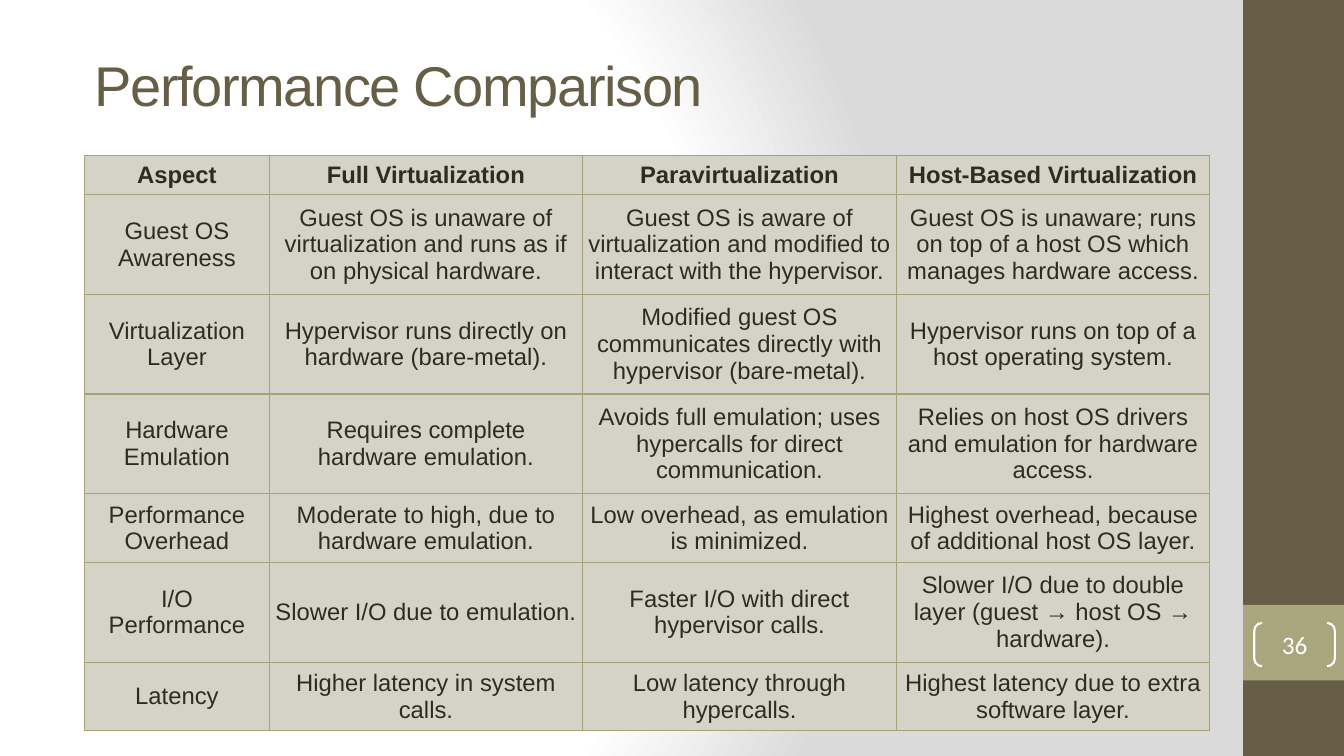
from lxml import etree
from pptx import Presentation, util as u
from pptx.dml.color import RGBColor
from pptx.enum import shapes, text
from pptx.oxml import parse_xml
from pptx.oxml.ns import nsdecls, qn

WIDTH, HEIGHT = 13.33, 7.5
COLORS = {"brown": "675E47", "olive": "A9A57C", "border": "A6A278", "cell": "D5D2C6",
          "ink": "2F2B20", "white": "FFFFFF", "gray": "DADADA"}
COLUMNS = [1.83, 3.11, 3.11, 3.11]
LINE_HEIGHTS = {"header": 0.39, "two": 0.68, "three": 0.99}
ROWS = [
    ("header", "Aspect", "Full Virtualization", "Paravirtualization", "Host-Based Virtualization"),
    ("three", "Guest OS Awareness",
     "Guest OS is unaware of virtualization and runs as if on physical hardware.",
     "Guest OS is aware of virtualization and modified to interact with the hypervisor.",
     "Guest OS is unaware; runs on top of a host OS which manages hardware access."),
    ("three", "Virtualization Layer", "Hypervisor runs directly on hardware (bare-metal).",
     "Modified guest OS communicates directly with hypervisor (bare-metal).",
     "Hypervisor runs on top of a host operating system."),
    ("three", "Hardware Emulation", "Requires complete hardware emulation.",
     "Avoids full emulation; uses hypercalls for direct communication.",
     "Relies on host OS drivers and emulation for hardware access."),
    ("two", "Performance Overhead", "Moderate to high, due to hardware emulation.",
     "Low overhead, as emulation is minimized.",
     "Highest overhead, because of additional host OS layer."),
    ("three", "I/O Performance", "Slower I/O due to emulation.",
     "Faster I/O with direct hypervisor calls.",
     "Slower I/O due to double layer (guest → host OS → hardware)."),
    ("two", "Latency", "Higher latency in system calls.", "Low latency through hypercalls.",
     "Highest latency due to extra software layer."),
]


def color(name):
    """Return the named palette colour."""
    return RGBColor.from_string(COLORS[name])


def inches(*lengths):
    """Convert lengths to slide units."""
    return [u.Inches(length) for length in lengths]


def write(frame, words, size, ink, font="Arial", bold=False, align="CENTER", spacing=None):
    """Put one formatted paragraph into a text frame."""
    frame.word_wrap = True
    para = frame.paragraphs[0]
    para.alignment = text.PP_ALIGN[align]
    span = para.add_run()
    span.text = words
    span.font.name, span.font.size, span.font.bold = font, u.Pt(size), bold
    span.font.color.rgb = color(ink)
    if spacing is not None:
        span.font._element.set("spc", str(spacing))


def add_background(page):
    """Fill the page with a radial gradient from white to gray."""
    page.background.fill.gradient()
    gradient = page.element.find(".//" + qn("a:gradFill"))
    stops = "".join(f'<a:gs pos="{share * 1000}"><a:srgbClr val="{COLORS[name]}"/></a:gs>'
                    for share, name in ((0, "white"), (75, "white"), (100, "gray")))
    gradient.getparent().replace(gradient, parse_xml(
        f'<a:gradFill rotWithShape="1" {nsdecls("a")}><a:gsLst>{stops}</a:gsLst>'
        '<a:path path="circle"><a:fillToRect l="20000" t="50000" r="100000" b="50000"/>'
        '</a:path></a:gradFill>'))


def add_block(page, box, fill):
    """Add a plain filled rectangle."""
    block = page.shapes.add_shape(shapes.MSO_SHAPE.RECTANGLE, *inches(*box))
    block.shadow.inherit = False
    block.fill.solid()
    block.fill.fore_color.rgb = color(fill)
    block.line.fill.background()


def add_sidebar(page, box, number):
    """Draw the side band with its bracketed page number."""
    left, top, width, height = box
    tab_top, tab_height = top + 0.8 * height, 0.1 * height
    add_block(page, box, "brown")
    add_block(page, (left, tab_top, width, tab_height), "olive")
    bracket = page.shapes.add_shape(
        shapes.MSO_SHAPE.DOUBLE_BRACKET,
        *inches(left + 0.11 * width, tab_top + 0.18, 0.8 * width, 0.43))
    bracket.adjustments[0] = 0.18
    bracket.shadow.inherit = False
    bracket.fill.background()
    bracket.line.color.rgb, bracket.line.width = color("white"), u.Pt(1.5)
    frame = bracket.text_frame
    frame.margin_left = frame.margin_right = frame.margin_top = frame.margin_bottom = 0
    frame.vertical_anchor = text.MSO_ANCHOR.MIDDLE
    write(frame, number, 18, "white", font="Calibri")


def add_title(page, box, words):
    """Write the page title."""
    frame = page.shapes.add_textbox(*inches(*box)).text_frame
    frame.vertical_anchor = text.MSO_ANCHOR.MIDDLE
    write(frame, words, 40, "brown", align="LEFT", spacing=-100)


def add_borders(cell):
    """Draw a thin line on every side of a cell."""
    properties = cell._tc.get_or_add_tcPr()
    for index, side in enumerate(("lnL", "lnR", "lnT", "lnB")):
        line = etree.Element(qn(f"a:{side}"), w=str(u.Pt(1)))
        fill = etree.SubElement(line, qn("a:solidFill"))
        etree.SubElement(fill, qn("a:srgbClr"), val=COLORS["border"])
        properties.insert(index, line)


def add_comparison(page, box):
    """Build the comparison table in the given box."""
    table = page.shapes.add_table(len(ROWS), len(COLUMNS), *inches(*box)).table
    table.first_row = table.horz_banding = False
    for column, width in zip(table.columns, COLUMNS):
        column.width = u.Inches(width)
    for row, (kind, *entries) in zip(table.rows, ROWS):
        row.height = u.Inches(LINE_HEIGHTS[kind])
        for cell, words in zip(row.cells, entries):
            cell.margin_left = cell.margin_right = u.Inches(0.05)
            cell.margin_top = cell.margin_bottom = u.Inches(0.02)
            cell.vertical_anchor = text.MSO_ANCHOR.MIDDLE
            cell.fill.solid()
            cell.fill.fore_color.rgb = color("cell")
            add_borders(cell)
            write(cell.text_frame, words, 17, "ink", bold=kind == "header")


def main():
    """Build and save the deck."""
    deck = Presentation()
    deck.slide_width, deck.slide_height = inches(WIDTH, HEIGHT)
    page = deck.slides.add_slide(deck.slide_layouts[6])
    add_background(page)
    add_sidebar(page, (WIDTH - 1, 0, 1, HEIGHT), "36")
    add_title(page, (0.84, 0.61, 10.91, 0.45), "Performance Comparison")
    add_comparison(page, (0.84, 1.54, sum(COLUMNS), sum(LINE_HEIGHTS[row[0]] for row in ROWS)))
    deck.save("out.pptx")


if __name__ == "__main__":
    main()
